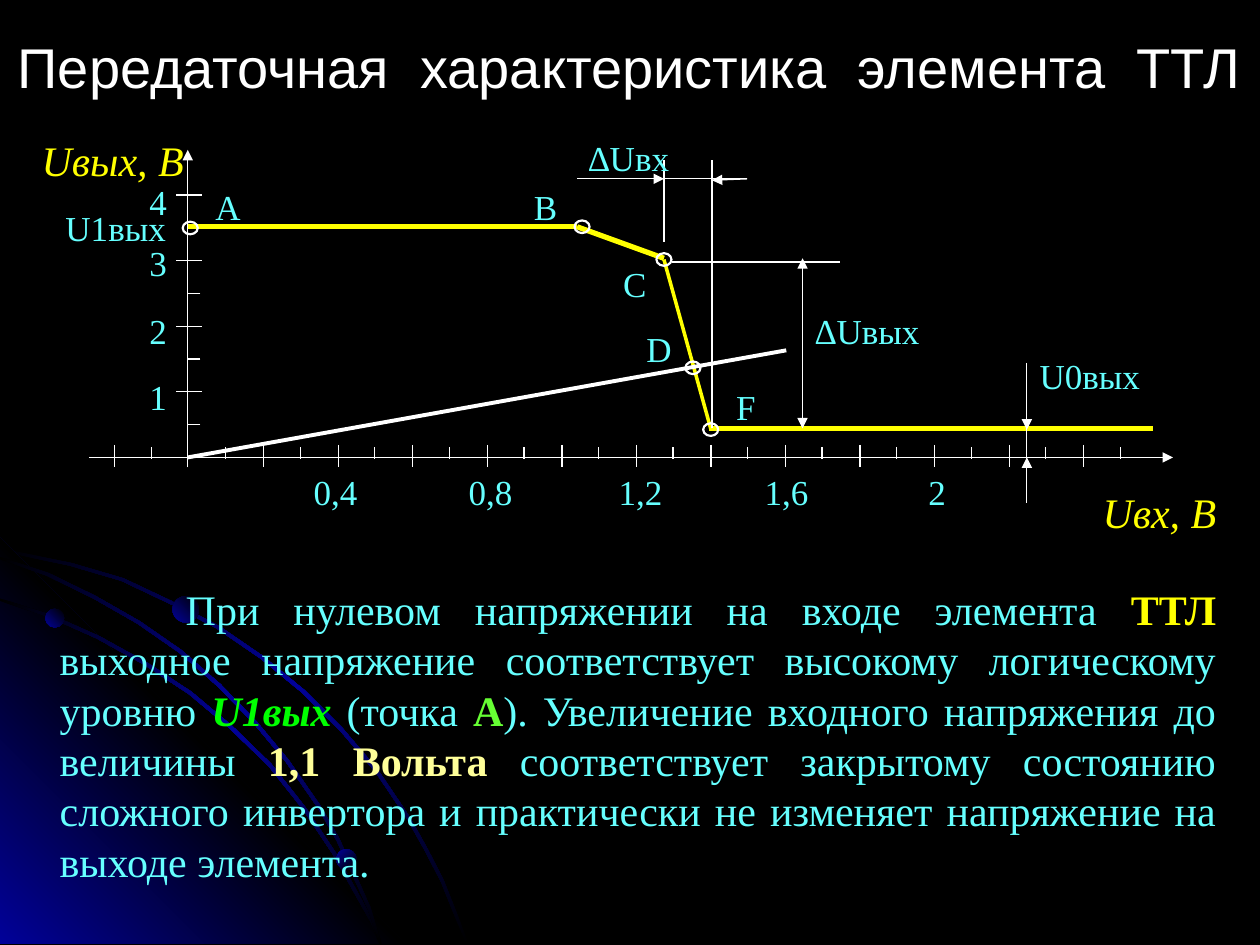
from dataclasses import dataclass

from lxml import etree
from pptx import Presentation
from pptx.dml.color import RGBColor
from pptx.enum.shapes import MSO_CONNECTOR, MSO_SHAPE
from pptx.enum.text import MSO_ANCHOR, PP_ALIGN
from pptx.oxml.ns import qn
from pptx.util import Pt

STRAIGHT = MSO_CONNECTOR.STRAIGHT
OVAL = MSO_SHAPE.OVAL
MIDDLE = MSO_ANCHOR.MIDDLE
LEFT, CENTER, JUSTIFY = PP_ALIGN.LEFT, PP_ALIGN.CENTER, PP_ALIGN.JUSTIFY


@dataclass(frozen=True)
class Theme:
    black: str = "000000"
    white: str = "FFFFFF"
    gray: str = "B2B2B2"
    blue: str = "010199"
    cyan: str = "66FFFF"
    yellow: str = "FFFF00"
    cream: str = "FFFF99"
    green: str = "00FF00"
    lime: str = "66FF33"
    title_font: str = "Arial"
    text_font: str = "Times New Roman"
    title_size: float = 32
    title_end_size: float = 44
    body_size: float = 24
    label_size: float = 20


THEME = Theme()

RIBBONS = [
    [(0, 313.2), (20.2, 317.5), (41, 321.8), (70.6, 330.5), (97.9, 343.4), (125.3, 357.8),
     (150.5, 375.1), (174.2, 394.6), (195.8, 416.2), (216, 439.9), (234, 466.6),
     (244.1, 484.6), (253.4, 502.6), (260.6, 520.6), (267.8, 539.3)],
    [(0, 342), (29.5, 351.4), (56.9, 363.6), (84.2, 378.7), (109.4, 395.3), (132.5, 414.7),
     (154.8, 436.3), (174.2, 460.8), (191.5, 486.7), (205.9, 512.6), (213.1, 525.6),
     (218.2, 539.3)],
    [(0, 318.2), (28.1, 327.6), (54.7, 340.6), (79.9, 355), (103.7, 371.5), (126, 391),
     (146.9, 412.6), (164.9, 434.2), (182.9, 460.1), (193.7, 478.8), (203, 499),
     (211.7, 518.4), (218.2, 539.3)],
]
CORNER = [(0, 307.4), (231.8, 539.3), (0, 539.3)]


def set_gradient(shape, colors, angle):
    shape.shadow.inherit = False
    shape.line.fill.background()
    shape.fill.background()
    gradient = etree.Element(qn("a:gradFill"), rotWithShape="1")
    stops = etree.SubElement(gradient, qn("a:gsLst"))
    for index, color in enumerate(colors):
        position = 100000 * index // (len(colors) - 1)
        stop = etree.SubElement(stops, qn("a:gs"), pos=str(position))
        etree.SubElement(stop, qn("a:srgbClr"), val=color)
    etree.SubElement(gradient, qn("a:lin"), ang=str(angle * 60000), scaled="1")
    properties = shape._element.spPr
    properties.replace(properties.find(qn("a:noFill")), gradient)


def add_outline(page, points, colors, angle):
    corners = [(Pt(x), Pt(y)) for x, y in points]
    builder = page.shapes.build_freeform(*corners[0], scale=1.0)
    builder.add_line_segments(corners[1:], close=True)
    set_gradient(builder.convert_to_shape(), colors, angle)


def add_ribbon(page, edge, thickness=1.4):
    inner = [(max(x - thickness, 0), min(y + thickness, 539.3)) for x, y in edge]
    add_outline(page, edge + inner[::-1], [THEME.black, THEME.blue, THEME.black], 225)


def add_ball(page, left, top, size, angle):
    ball = page.shapes.add_shape(OVAL, Pt(left), Pt(top), Pt(size), Pt(size))
    set_gradient(ball, [THEME.black, THEME.blue], angle)


def add_line(page, start, end, color=THEME.white, width=0.75, head=False, tail=False):
    line = page.shapes.add_connector(STRAIGHT, *map(Pt, start + end))
    line.line.color.rgb = RGBColor.from_string(color)
    line.line.width = Pt(width)
    etree.SubElement(line._element.spPr, qn("a:effectLst"))
    outline = line.line._get_or_add_ln()
    for wanted, tag in ((head, "a:headEnd"), (tail, "a:tailEnd")):
        if wanted:
            etree.SubElement(outline, qn(tag), type="triangle")


def add_marker(page, left, top):
    marker = page.shapes.add_shape(OVAL, Pt(left), Pt(top), Pt(8.6), Pt(7.2))
    marker.shadow.inherit = False
    marker.fill.background()
    marker.line.color.rgb = RGBColor.from_string(THEME.white)
    marker.line.width = Pt(1.25)


def add_box(page, left, top, width, height, inset=(0, 0)):
    box = page.shapes.add_textbox(Pt(left), Pt(top), Pt(width), Pt(height))
    frame = box.text_frame
    frame.word_wrap = True
    frame.margin_left = frame.margin_right = Pt(inset[0])
    frame.margin_top = frame.margin_bottom = Pt(inset[1])
    return frame


def add_span(para, text, size, color, font=THEME.text_font, bold=False, italic=False):
    span = para.add_run()
    span.text = text
    span.font.name = font
    span.font.size = Pt(size)
    span.font.bold = bold
    span.font.italic = italic
    span.font.color.rgb = RGBColor.from_string(color)


def add_label(page, text, left, top, width, align=LEFT):
    para = add_box(page, left, top, width, 21).paragraphs[0]
    para.alignment = align
    add_span(para, text, THEME.label_size, THEME.cyan)


def add_axis_title(page, text, left, top, width):
    para = add_box(page, left, top, width, 24).paragraphs[0]
    add_span(para, text, THEME.body_size, THEME.yellow, italic=True)


def add_decoration(page):
    add_ribbon(page, RIBBONS[0])
    add_outline(page, CORNER, [THEME.blue, THEME.black, THEME.blue], 135)
    for edge in RIBBONS[1:]:
        add_ribbon(page, edge)
    for ball in ((25.9, 347.8, 10.8, 135), (192.2, 485.3, 11.5, 225), (98.6, 340.6, 15.1, 135)):
        add_ball(page, *ball)


def add_title(page):
    frame = add_box(page, 0, 18, 720, 30, (7.2, 3.6))
    frame.vertical_anchor = MIDDLE
    para = frame.paragraphs[0]
    para.alignment = CENTER
    add_span(para, "Передаточная  характеристика  элемента  ТТЛ",
             THEME.title_size, THEME.white, THEME.title_font)
    add_span(para, " ", THEME.title_end_size, THEME.gray, THEME.title_font)


def add_body(page):
    para = add_box(page, 0, 329.8, 702, 192.2, (7.2, 3.6)).paragraphs[0]
    para.alignment = JUSTIFY
    para.line_spacing = Pt(28.8)
    para._p.get_or_add_pPr().set("marL", str(Pt(27)))
    para._p.get_or_add_pPr().set("indent", str(Pt(72)))
    for text, color, bold, italic in (
        ("При нулевом напряжении на входе элемента ", THEME.cyan, False, False),
        ("ТТЛ ", THEME.yellow, True, False),
        ("выходное напряжение соответствует высокому логическому уровню ",
         THEME.cyan, False, False),
        ("U1вых", THEME.green, True, True),
        (" (точка ", THEME.cyan, False, False),
        ("А", THEME.lime, True, False),
        ("). Увеличение входного напряжения до величины ", THEME.cyan, False, False),
        ("1,1 Вольта", THEME.cream, True, False),
        (" соответствует закрытому состоянию сложного инвертора и практически "
         "не изменяет напряжение на выходе элемента.", THEME.cyan, False, False),
    ):
        add_span(para, text, THEME.body_size, color, bold=bold, italic=italic)


def add_axes(page):
    add_line(page, (107.3, 267.1), (107.3, 85.7), tail=True)
    add_line(page, (51.1, 261.4), (670.3, 261.4), tail=True)
    for index in range(14):
        shift = 42.6 * index
        if index != 1:
            add_line(page, (65.5 + shift, 254.2), (65.5 + shift, 267.1))
        add_line(page, (86.4 + shift, 255.6), (86.4 + shift, 262.1))
    for index, label_top in enumerate((214.6, 177.1, 138.2, 103)):
        shift = 37.5 * index
        add_line(page, (115.2, 223.9 - shift), (100.8, 223.9 - shift))
        add_line(page, (114.5, 242.6 - shift), (106.6, 242.6 - shift))
        add_label(page, str(index + 1), 82.1, label_top, 16.6, CENTER)
    for text, left in (("0,4", 179.3), ("0,8", 267.8), ("1,2", 353.5), ("1,6", 437), ("2", 530.6)):
        add_label(page, text, left, 268.6, 28.8)
    add_axis_title(page, "Uвых, В", 23.8, 77, 86.4)
    add_axis_title(page, "Uвх, В", 630, 277.9, 65.5)


def add_curve(page):
    for start, end, width in (((107.3, 129.6), (329.8, 129.6), 3), ((329.8, 129.6), (379.4, 147.6), 3),
                              ((379.4, 148.3), (406.1, 244.8), 2), ((405.4, 244.8), (658.8, 244.8), 3)):
        add_line(page, start, end, THEME.yellow, width)
    add_line(page, (107.3, 261.4), (449.3, 200.2), width=2.25)
    for left, top in ((104.4, 126.7), (328.3, 126), (375.1, 144.7), (391.7, 206.6), (401.8, 241.9)):
        add_marker(page, left, top)
    for text, left, top in (("А", 121.7, 105.8), ("В", 303.1, 105.8), ("С", 354.2, 149.8),
                            ("D", 367.9, 187.2), ("F", 417.6, 220.3)):
        add_label(page, text, left, top, 17.3, CENTER)


def add_dimensions(page):
    for start, end in (((379.4, 138.2), (379.4, 91.4)), ((406.8, 244.8), (406.8, 91.4)),
                       ((383.8, 149.8), (480.2, 149.8)), ((586.8, 242.6), (586.8, 287.3)),
                       ((366.5, 102.2), (427, 102.2))):
        add_line(page, start, end)
    for start, end in (((586.8, 207.4), (586.8, 245.5)), ((586.8, 282.2), (586.8, 261.4)),
                       ((427, 102.2), (406.8, 103)), ((329.8, 102.2), (379.4, 102.2))):
        add_line(page, start, end, tail=True)
    add_line(page, (458.6, 147.6), (458.6, 244.8), head=True, tail=True)
    for text, left, top in (("∆Uвых", 465.8, 177.1), ("∆Uвх", 336.2, 77.8),
                            ("U1вых", 37.4, 118.1), ("U0вых", 594, 202.3)):
        add_label(page, text, left, top, 65)


def main():
    deck = Presentation()
    deck.slide_width, deck.slide_height = Pt(720), Pt(540)
    page = deck.slides.add_slide(deck.slide_layouts[6])
    page.background.fill.solid()
    page.background.fill.fore_color.rgb = RGBColor.from_string(THEME.black)
    for add_part in (add_decoration, add_title, add_body, add_axes, add_curve, add_dimensions):
        add_part(page)
    deck.save("out.pptx")


if __name__ == "__main__":
    main()
